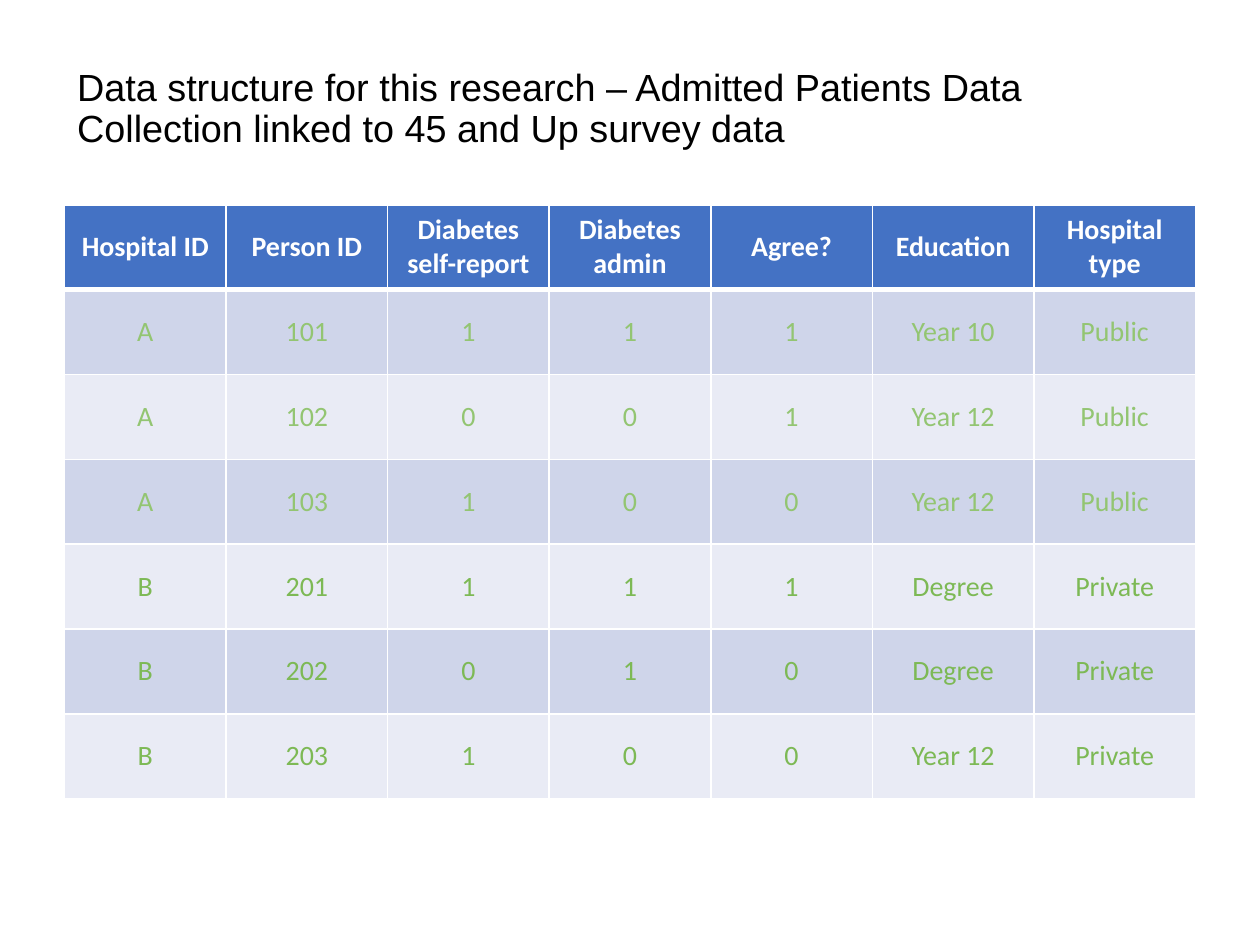
from lxml.etree import SubElement
from pptx import Presentation
from pptx.dml.color import RGBColor
from pptx.enum.text import MSO_ANCHOR, PP_ALIGN
from pptx.oxml.ns import qn
from pptx.util import Cm, Pt

# Content
TITLE = ("Data structure for this research – Admitted Patients Data "
         "Collection linked to 45 and Up survey data")
HEADER = ("Hospital ID", "Person ID", "Diabetes self-report", "Diabetes admin",
          "Agree?", "Education", "Hospital type")
PATIENTS = [
    ("A", "101", "1", "1", "1", "Year 10", "Public"),
    ("A", "102", "0", "0", "1", "Year 12", "Public"),
    ("A", "103", "1", "0", "0", "Year 12", "Public"),
    ("B", "201", "1", "1", "1", "Degree", "Private"),
    ("B", "202", "0", "1", "0", "Degree", "Private"),
    ("B", "203", "1", "0", "0", "Year 12", "Private"),
]

# Look
WHITE = "FFFFFF"
HEADER_FILL = "4472C4"
BAND_FILLS = ("CFD5EA", "E9EBF5")
HOSPITAL_COLORS = {"A": "93C572", "B": "7DB955"}
LEFT, WIDTH = 1.3, 22.8
TABLE_TOP, ROW_HEIGHT = 4.13, 1.71


def color(hex_string):
    return RGBColor.from_string(hex_string)


def format_text(text_frame, font_name, size, hex_string, bold=False):
    text_frame.vertical_anchor = MSO_ANCHOR.MIDDLE
    for paragraph in text_frame.paragraphs:
        for run in paragraph.runs:
            run.font.name = font_name
            run.font.size = Pt(size)
            run.font.bold = bold
            run.font.color.rgb = color(hex_string)


def add_borders(cell, top, bottom):
    """Draw white cell borders; they must precede the fill in the XML."""
    properties = cell._tc.get_or_add_tcPr()
    for side, points in (("L", 1), ("R", 1), ("T", top), ("B", bottom)):
        line = SubElement(properties, qn(f"a:ln{side}"), w=str(Pt(points)))
        fill = SubElement(line, qn("a:solidFill"))
        SubElement(fill, qn("a:srgbClr"), val=WHITE)


def add_title(slide):
    title = slide.shapes.title
    title.left, title.top = Cm(LEFT), Cm(1.19)
    title.width, title.height = Cm(WIDTH), Cm(2.06)
    title.text_frame.text = TITLE
    title.text_frame.word_wrap = True
    paragraph = title.text_frame.paragraphs[0]
    paragraph.alignment = PP_ALIGN.LEFT
    paragraph.line_spacing = 0.9
    format_text(title.text_frame, "Arial", 21.6, "000000")


def add_patient_table(slide):
    rows = [HEADER, *PATIENTS]
    table = slide.shapes.add_table(
        len(rows), len(HEADER), Cm(LEFT), Cm(TABLE_TOP),
        Cm(WIDTH), Cm(ROW_HEIGHT * len(rows))).table

    for row_index, values in enumerate(rows):
        is_header = row_index == 0
        if is_header:
            fill, text_color = HEADER_FILL, WHITE
        else:
            fill = BAND_FILLS[(row_index - 1) % 2]
            text_color = HOSPITAL_COLORS[values[0]]
        for column_index, value in enumerate(values):
            cell = table.cell(row_index, column_index)
            add_borders(cell, top=3 if row_index == 1 else 1,
                        bottom=3 if is_header else 1)
            cell.fill.solid()
            cell.fill.fore_color.rgb = color(fill)
            cell.text_frame.text = value
            cell.text_frame.paragraphs[0].alignment = PP_ALIGN.CENTER
            format_text(cell.text_frame, "Calibri", 16, text_color, is_header)
            cell.vertical_anchor = MSO_ANCHOR.MIDDLE


def main():
    presentation = Presentation()
    presentation.slide_width, presentation.slide_height = Cm(25.4), Cm(19.05)
    title_only = presentation.slide_layouts[5]
    slide = presentation.slides.add_slide(title_only)
    add_title(slide)
    add_patient_table(slide)
    presentation.save("out.pptx")


if __name__ == "__main__":
    main()
